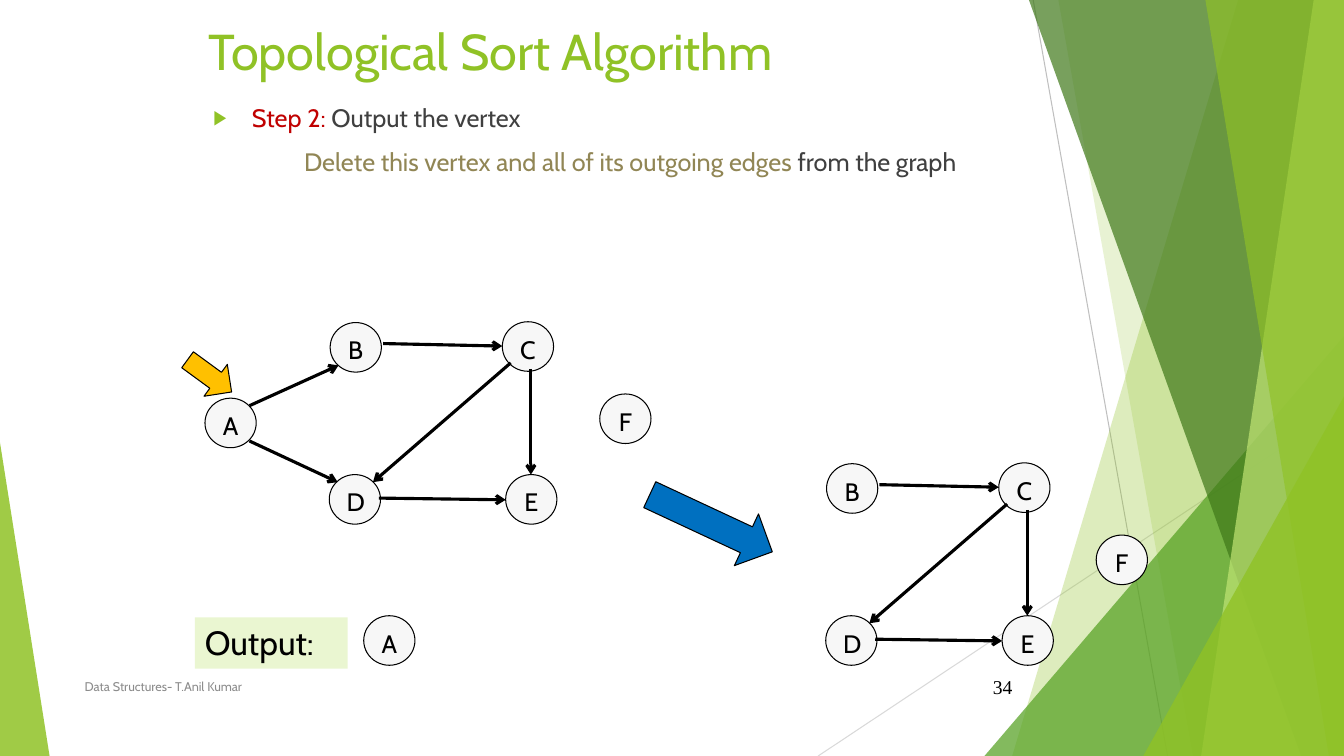
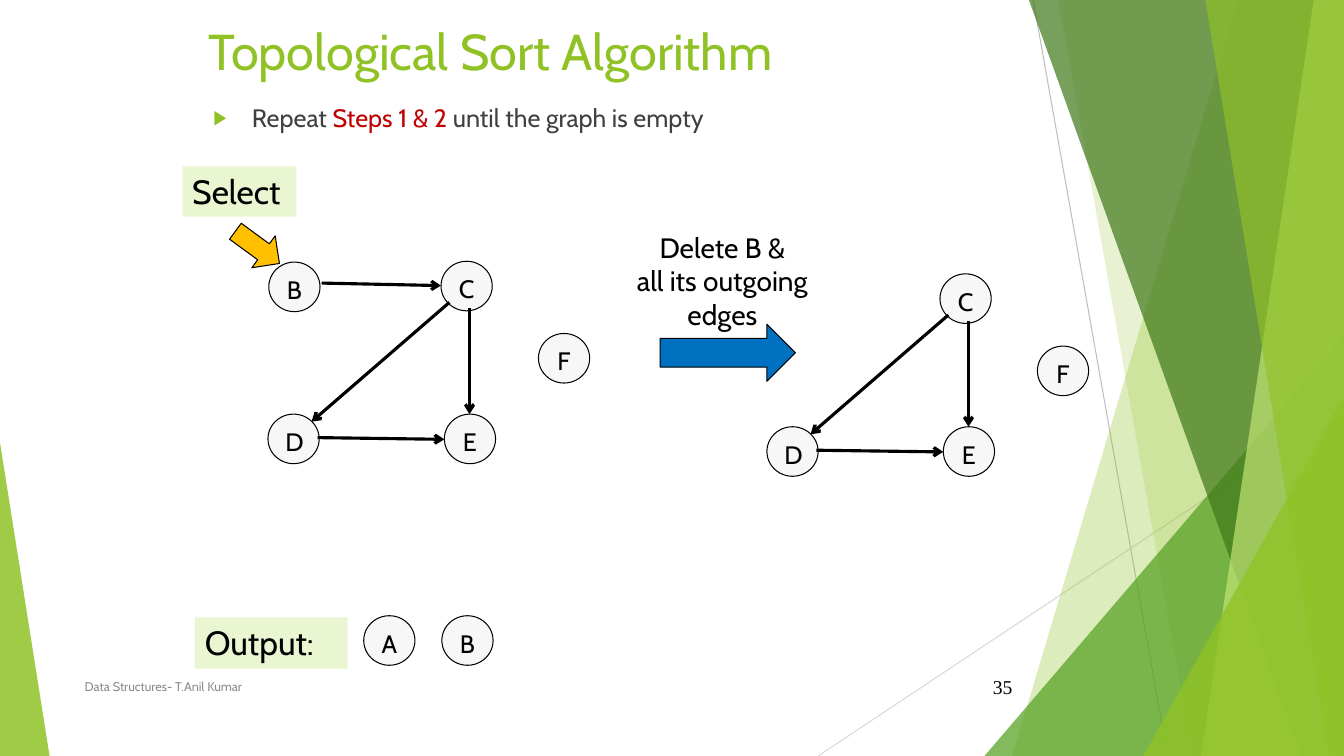
from dataclasses import dataclass

from lxml.etree import SubElement
from pptx import Presentation
from pptx.dml.color import RGBColor
from pptx.enum.shapes import MSO_CONNECTOR, MSO_SHAPE
from pptx.enum.text import MSO_ANCHOR, MSO_AUTO_SIZE, PP_ALIGN
from pptx.oxml.ns import qn
from pptx.util import Emu, Pt


@dataclass(frozen=True)
class Theme:
    font: str = "Cabin"
    number_font: str = "Times New Roman"
    green: str = "90C226"
    mid_green: str = "54A021"
    dark_green: str = "3F7819"
    lime: str = "C0E474"
    pale_green: str = "EAF6D1"
    text: str = "404040"
    red: str = "C00000"
    olive: str = "918655"
    black: str = "000000"
    footer: str = "8C8C8C"
    node: str = "F7F7F7"
    blue: str = "0070C0"
    amber: str = "FFC000"
    rule: str = "BFBFBF"
    pale_rule: str = "D9D9D9"
    title_size: float = 36
    label_size: float = 24
    note_size: float = 20
    body_size: float = 18
    number_size: float = 14
    footer_size: float = 9
    thin: float = 0.75
    thick: float = 2.25


T = Theme()

# The slide is a grid of square cells; every length below counts cells.
COLS, ROWS, CELL = 160, 90, 76200

NODE_W, NODE_H = 6.1, 5.9
NODES = {"A": (-14.8, 9.1), "B": (0.1, 0.1), "C": (20.6, 0),
         "D": (0, 18.2), "E": (21, 18.2), "F": (32.2, 8.6)}
EDGES = {"AB": (-9.5, 10, 1.1, 5.2), "AD": (-9.5, 14.2, 1, 19.1),
         "BC": (6.4, 2.6, 20.6, 2.9), "CE": (24, 5.6, 24, 18.2),
         "DE": (5.9, 21, 21, 21.2), "CD": (21.6, 4.9, 5.2, 19.1)}


def cells(*counts):
    return [Emu(round(n * CELL)) for n in counts]


def rgb(color):
    return RGBColor.from_string(color)


def add_run(p, text, size, color, font=T.font):
    r = p.add_run()
    r.text = text
    r.font.size, r.font.name = Pt(size), font
    r.font.color.rgb = rgb(color)


def add_shape(shapes, kind, box, fill, outline=None, alpha=None):
    sp = shapes.add_shape(kind, *cells(*box))
    paint(sp, fill, outline, alpha)
    return sp


def paint(sp, fill, outline=None, alpha=None):
    sp.shadow.inherit = False
    sp.fill.solid()
    sp.fill.fore_color.rgb = rgb(fill)
    if alpha:
        clr = sp._element.spPr.find(qn("a:solidFill"))[0]
        SubElement(clr, qn("a:alpha"), val=str(alpha * 1000))
    if outline:
        sp.line.color.rgb = rgb(outline)
        sp.line.width = Pt(T.thin)
    else:
        sp.line.fill.background()


def add_line(shapes, ends, color, width, arrow=False):
    line = shapes.add_connector(MSO_CONNECTOR.STRAIGHT, *cells(*ends))
    line.line.color.rgb = rgb(color)
    line.line.width = Pt(width)
    if arrow:
        SubElement(line.line._get_or_add_ln(), qn("a:tailEnd"), type="arrow")
    SubElement(line._element.spPr, qn("a:effectLst"))


def add_text(s, box, lines, size, color, font=T.font,
             align=PP_ALIGN.LEFT, anchor=MSO_ANCHOR.TOP):
    tf = s.shapes.add_textbox(*cells(*box)).text_frame
    tf.word_wrap, tf.vertical_anchor = True, anchor
    for i, text in enumerate(lines):
        p = tf.add_paragraph() if i else tf.paragraphs[0]
        p.alignment = align
        add_run(p, text, size, color, font)


def label_shape(sp, text, size, align):
    tf = sp.text_frame
    tf.vertical_anchor = MSO_ANCHOR.TOP
    p = tf.paragraphs[0]
    p.alignment = align
    add_run(p, text, size, T.black)


def add_backdrop(s, master):
    """Draw the green bands as one group and hand it to the master."""
    group = s.shapes.add_group_shape()
    shapes = group.shapes

    def wedge(top, bottom, color, alpha):
        corners = [(top, 0), (COLS, 0), (COLS, ROWS), (bottom, ROWS)]
        points = [cells(*corner) for corner in corners]
        builder = shapes.build_freeform(*points[0])
        builder.add_line_segments(points[1:], close=True)
        paint(builder.convert_to_shape(), color, alpha=alpha)

    def triangle(x, y, w, apex, color, alpha):
        sp = add_shape(shapes, MSO_SHAPE.ISOSCELES_TRIANGLE,
                       (x, y, w, ROWS - y), color, alpha=alpha)
        sp.adjustments[0] = apex

    add_line(shapes, (123, 0, 139, ROWS), T.rule, T.thin)
    add_line(shapes, (COLS, 48.4, 97.4, ROWS), T.pale_rule, T.thin)
    wedge(147.4, 120.5, T.green, 30)
    wedge(126, 142, T.green, 20)
    triangle(117.2, 40, 42.8, 1, T.mid_green, 72)
    wedge(122.5, 154.9, T.dark_green, 70)
    wedge(156.4, 143, T.lime, 70)
    wedge(143.5, 158.2, T.green, 65)
    triangle(136.1, 47.2, 23.9, 1, T.green, 80)
    triangle(0, 52.7, 5.9, 0, T.green, 85)
    master.shapes.element.insert(2, group._element)


def place(sp, box):
    sp.left, sp.top, sp.width, sp.height = cells(*box)
    tf = sp.text_frame
    tf.auto_size, tf.word_wrap = MSO_AUTO_SIZE.NONE, True
    tf.vertical_anchor = MSO_ANCHOR.TOP
    return tf


def set_bullet(p, bulleted):
    pPr = p._p.get_or_add_pPr()
    left, indent = cells(4.6, -4.6) if bulleted else cells(10.8, 0)
    pPr.set("marL", str(left))
    pPr.set("indent", str(indent))
    if bulleted:
        clr = SubElement(pPr, qn("a:buClr"))
        SubElement(clr, qn("a:srgbClr"), val=T.green)
        SubElement(pPr, qn("a:buSzPct"), val="80000")
        SubElement(pPr, qn("a:buFont"), typeface="Arial")
        SubElement(pPr, qn("a:buChar"), char="▶")
    else:
        SubElement(pPr, qn("a:buNone"))


def add_slide(prs, number, body_height, lines):
    """Add a slide with title, step text and footer; only line one is bulleted."""
    s = prs.slides.add_slide(prs.slide_layouts[1])
    p = place(s.shapes.title, (23.6, 1.8, 114.5, 9.1)).paragraphs[0]
    p.alignment = PP_ALIGN.LEFT
    add_run(p, "Topological Sort Algorithm", T.title_size, T.green)

    tf = place(s.placeholders[1], (24.2, 11.6, 112.9, body_height))
    for i, runs in enumerate(lines):
        p = tf.add_paragraph() if i else tf.paragraphs[0]
        set_bullet(p, bulleted=i == 0)
        p.space_before = Pt(10 if i else 0)
        for text, color in runs:
            add_run(p, text, T.body_size, color)

    add_text(s, (8.9, 79.3, 82.7, 4.8), ["Data Structures- T.Anil Kumar"],
             T.footer_size, T.footer, anchor=MSO_ANCHOR.MIDDLE)
    add_text(s, (112.7, 79.3, 9, 4.8), [str(number)], T.number_size, T.black,
             T.number_font, PP_ALIGN.RIGHT, MSO_ANCHOR.MIDDLE)
    return s


def add_node(s, x, y, name):
    sp = add_shape(s.shapes, MSO_SHAPE.OVAL, (x, y, NODE_W, NODE_H),
                   T.node, T.black)
    label_shape(sp, name, T.body_size, PP_ALIGN.CENTER)


def add_graph(s, x, y, names):
    """Draw the named vertices and every edge that joins two of them."""
    for name in names:
        dx, dy = NODES[name]
        add_node(s, x + dx, y + dy, name)
    for pair, (x1, y1, x2, y2) in EDGES.items():
        if set(pair) <= set(names):
            add_line(s.shapes, (x + x1, y + y1, x + x2, y + y2),
                     T.black, T.thick, arrow=True)


def add_tag(s, box, text):
    sp = add_shape(s.shapes, MSO_SHAPE.RECTANGLE, box, T.pale_green)
    label_shape(sp, text, T.label_size, PP_ALIGN.LEFT)


def add_output(s, x, y, names):
    add_tag(s, (x, y + 0.2, 18.2, 6.1), "Output:")
    for i, name in enumerate(names):
        add_node(s, x + 20.1 + 9.3 * i, y, name)


def add_step_arrow(s, x, y, turn=0):
    sp = add_shape(s.shapes, MSO_SHAPE.RIGHT_ARROW, (x, y, 16.1, 6.8),
                   T.blue, T.black)
    sp.rotation = turn


def add_pointer(s, x, y):
    sp = add_shape(s.shapes, MSO_SHAPE.RIGHT_ARROW, (x, y, 6.5, 4.7),
                   T.amber, T.black)
    sp.rotation = 36.2


def build_output_step(prs):
    s = add_slide(prs, 34, 20, [
        [("Step 2: ", T.red), ("Output the vertex", T.text)],
        [("Delete this vertex and all of its outgoing edges ", T.olive),
         ("from the graph", T.text)]])
    add_graph(s, 39.2, 38.3, "ABCDEF")
    add_output(s, 23.2, 73.3, "A")
    add_graph(s, 98.3, 55.1, "BCDEF")
    add_step_arrow(s, 76.6, 58.9, turn=25)
    add_pointer(s, 21.7, 42.4)
    return s


def build_repeat_step(prs):
    s = add_slide(prs, 35, 9.6, [
        [("Repeat ", T.text), ("Steps 1 & 2", T.red),
         (" until the graph is empty", T.text)]])
    add_output(s, 23.2, 73.3, "AB")
    add_graph(s, 31.9, 31.1, "BCDEF")
    add_graph(s, 91.3, 32.6, "CDEF")
    add_pointer(s, 27.4, 27.1)
    add_step_arrow(s, 78.6, 38.6)
    add_text(s, (72.8, 26.8, 26.4, 13.3),
             ["Delete B &", "all its outgoing", "edges"],
             T.note_size, T.black, align=PP_ALIGN.CENTER)
    add_tag(s, (21.7, 19.8, 13.6, 6), "Select")


def main():
    prs = Presentation()
    prs.slide_width, prs.slide_height = cells(COLS, ROWS)
    add_backdrop(build_output_step(prs), prs.slide_master)
    build_repeat_step(prs)
    prs.save("out.pptx")


if __name__ == "__main__":
    main()
